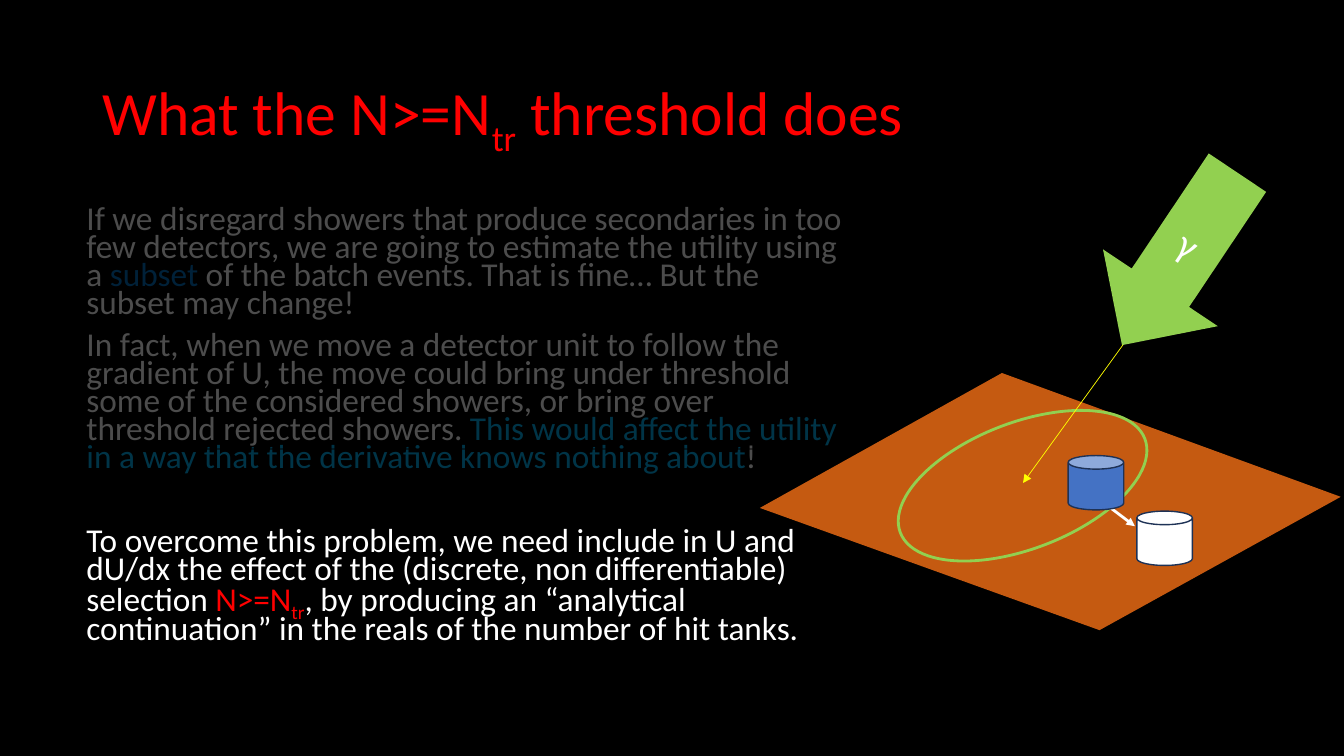
from dataclasses import dataclass
from typing import Optional

from lxml.etree import SubElement
from pptx import Presentation
from pptx.dml.color import RGBColor
from pptx.enum.shapes import MSO_CONNECTOR, MSO_SHAPE
from pptx.enum.text import MSO_ANCHOR, PP_ALIGN
from pptx.oxml.ns import qn
from pptx.shapes.autoshape import Shape
from pptx.slide import Slide
from pptx.util import Cm, Pt


@dataclass(frozen=True)
class Theme:
    """Colours, font and type sizes of the slide."""
    font: str = "Calibri"
    black: str = "000000"
    white: str = "FFFFFF"
    red: str = "FF0000"
    blue: str = "0070C0"
    cyan: str = "00B0F0"
    green: str = "92D050"
    yellow: str = "FFFF00"
    ground: str = "C55A11"
    tank: str = "4472C4"
    tank_edge: str = "1E3256"
    title_size: float = 44
    body_size: float = 23.8
    symbol_size: float = 28


THEME = Theme()


@dataclass(frozen=True)
class Span:
    """A stretch of text with an optional colour of its own."""
    text: str
    color: Optional[str] = None
    subscript: bool = False


@dataclass(frozen=True)
class Para:
    """A paragraph and the space before it in points."""
    spans: tuple[Span, ...]
    before: float = 0


@dataclass(frozen=True)
class TextBlock:
    """A text box with a common size, colour and line spacing."""
    left: float
    top: float
    width: float
    height: float
    paras: tuple[Para, ...]
    size: float
    color: str
    spacing: float
    anchor: MSO_ANCHOR = MSO_ANCHOR.TOP


@dataclass(frozen=True)
class Figure:
    """A preset shape with its place and paint."""
    kind: MSO_SHAPE
    left: float
    top: float
    width: float
    height: float
    fill: Optional[str] = None
    line: Optional[str] = None
    weight: float = 1
    rotation: float = 0
    opacity: int = 100
    label: str = ""


@dataclass(frozen=True)
class Arrow:
    """A straight line with an arrowhead at its end."""
    start: tuple[float, float]
    end: tuple[float, float]
    color: str
    weight: float


TEXTS = (
    TextBlock(2.33, 1.01, 29.21, 3.68, (
        Para((Span("What the N>=N"), Span("tr", subscript=True), Span(" threshold does"))),
    ), THEME.title_size, THEME.red, 0.9, MSO_ANCHOR.MIDDLE),
    TextBlock(1.93, 5.11, 19.74, 12.09, (
        Para((
            Span("If we disregard showers that produce secondaries in too few detectors, "
                 "we are going to estimate the utility using a "),
            Span("subset", THEME.blue),
            Span(" of the batch events. That is fine… But the subset may change!"),
        ), 10),
        Para((
            Span("In fact, when we move a detector unit to follow the gradient of U, the move "
                 "could bring under threshold some of the considered showers, or bring over "
                 "threshold rejected showers. "),
            Span("This would affect the utility in a way that the derivative knows nothing about",
                 THEME.cyan),
            Span("!"),
        ), 10),
        Para((
            Span("To overcome this problem, we need include in U and dU/dx the effect of the "
                 "(discrete, non differentiable) selection "),
            Span("N>=N", THEME.red),
            Span("tr", THEME.red, subscript=True),
            Span(", by producing an “analytical continuation” in the reals of the number "
                 "of hit tanks."),
        ), 40),
    ), THEME.body_size, THEME.white, 0.7),
)
GROUND = ((25.25, 9.4), (33.79, 12.52), (27.71, 15.88), (19.15, 12.8))
SCENE = (
    Figure(MSO_SHAPE.DOWN_ARROW, 27.99, 3.91, 3.48, 5.23, THEME.green, rotation=33.8, label="γ"),
    Figure(MSO_SHAPE.OVAL, 24.18, 8.94, 3.18, 6.6, line=THEME.green, weight=2, rotation=69),
    Arrow((27.46, 12.4), (28.6, 13.26), THEME.white, 2),
    Figure(MSO_SHAPE.CAN, 28.65, 12.88, 1.4, 1.37, THEME.white, THEME.tank_edge),
    Figure(MSO_SHAPE.CAN, 26.92, 11.48, 1.4, 1.37, THEME.tank, THEME.tank_edge),
    Arrow((28.3, 8.69), (25.78, 12.17), THEME.yellow, 0.5),
    Figure(MSO_SHAPE.RECTANGLE, 1.9, 4.65, 19.51, 6.68, THEME.black, opacity=70),
    Figure(MSO_SHAPE.RECTANGLE, 2.06, 11.3, 17.32, 0.74, THEME.black, opacity=70),
)


def rgb(color: str) -> RGBColor:
    """Turn a hex string into a colour."""
    return RGBColor.from_string(color)


def add_text(page: Slide, block: TextBlock) -> None:
    """Draw a text block."""
    box = page.shapes.add_textbox(Cm(block.left), Cm(block.top), Cm(block.width), Cm(block.height))
    frame = box.text_frame
    frame.word_wrap = True
    frame.vertical_anchor = block.anchor
    for index, para in enumerate(block.paras):
        paragraph = frame.add_paragraph() if index else frame.paragraphs[0]
        paragraph.line_spacing = block.spacing
        paragraph.space_before = Pt(para.before)
        paragraph.font.name = THEME.font
        paragraph.font.size = Pt(block.size)
        for span in para.spans:
            run = paragraph.add_run()
            run.text = span.text
            run.font.color.rgb = rgb(span.color or block.color)
            if span.subscript:
                run.font._element.set("baseline", "-25000")


def paint(shape: Shape, fill: Optional[str], line: Optional[str] = None, weight: float = 1) -> None:
    """Set the fill and outline of a shape and drop its shadow."""
    shape.shadow.inherit = False
    if fill:
        shape.fill.solid()
        shape.fill.fore_color.rgb = rgb(fill)
    else:
        shape.fill.background()
    if line:
        shape.line.color.rgb = rgb(line)
        shape.line.width = Pt(weight)
    else:
        shape.line.fill.background()


def add_figure(page: Slide, figure: Figure) -> None:
    """Draw a preset shape."""
    shape = page.shapes.add_shape(
        figure.kind, Cm(figure.left), Cm(figure.top), Cm(figure.width), Cm(figure.height))
    shape.rotation = figure.rotation
    paint(shape, figure.fill, figure.line, figure.weight)
    if figure.opacity < 100:
        color = shape.element.spPr.find(qn("a:solidFill")).find(qn("a:srgbClr"))
        SubElement(color, qn("a:alpha"), val=str(figure.opacity * 1000))
    if figure.label:
        shape.text_frame.vertical_anchor = MSO_ANCHOR.MIDDLE
        paragraph = shape.text_frame.paragraphs[0]
        paragraph.text = figure.label
        paragraph.alignment = PP_ALIGN.CENTER
        paragraph.font.name = THEME.font
        paragraph.font.size = Pt(THEME.symbol_size)
        paragraph.font.color.rgb = rgb(THEME.white)


def add_arrow(page: Slide, arrow: Arrow) -> None:
    """Draw a straight arrow."""
    points = [Cm(value) for value in arrow.start + arrow.end]
    connector = page.shapes.add_connector(MSO_CONNECTOR.STRAIGHT, *points)
    connector.line.color.rgb = rgb(arrow.color)
    connector.line.width = Pt(arrow.weight)
    SubElement(connector.line._get_or_add_ln(), qn("a:tailEnd"), type="triangle")
    SubElement(connector.element.spPr, qn("a:effectLst"))


def add_ground(page: Slide) -> None:
    """Draw the tilted ground plane."""
    corners = [(Cm(x), Cm(y)) for x, y in GROUND]
    builder = page.shapes.build_freeform(*corners[0])
    builder.add_line_segments(corners[1:], close=True)
    paint(builder.convert_to_shape(), THEME.ground)


def main() -> None:
    """Build the slide and save it."""
    deck = Presentation()
    deck.slide_width, deck.slide_height = Cm(33.87), Cm(19.05)
    page = deck.slides.add_slide(deck.slide_layouts[6])
    page.background.fill.solid()
    page.background.fill.fore_color.rgb = rgb(THEME.black)
    add_ground(page)
    for block in TEXTS:
        add_text(page, block)
    for item in SCENE:
        if isinstance(item, Arrow):
            add_arrow(page, item)
        else:
            add_figure(page, item)
    deck.save("out.pptx")


if __name__ == "__main__":
    main()
